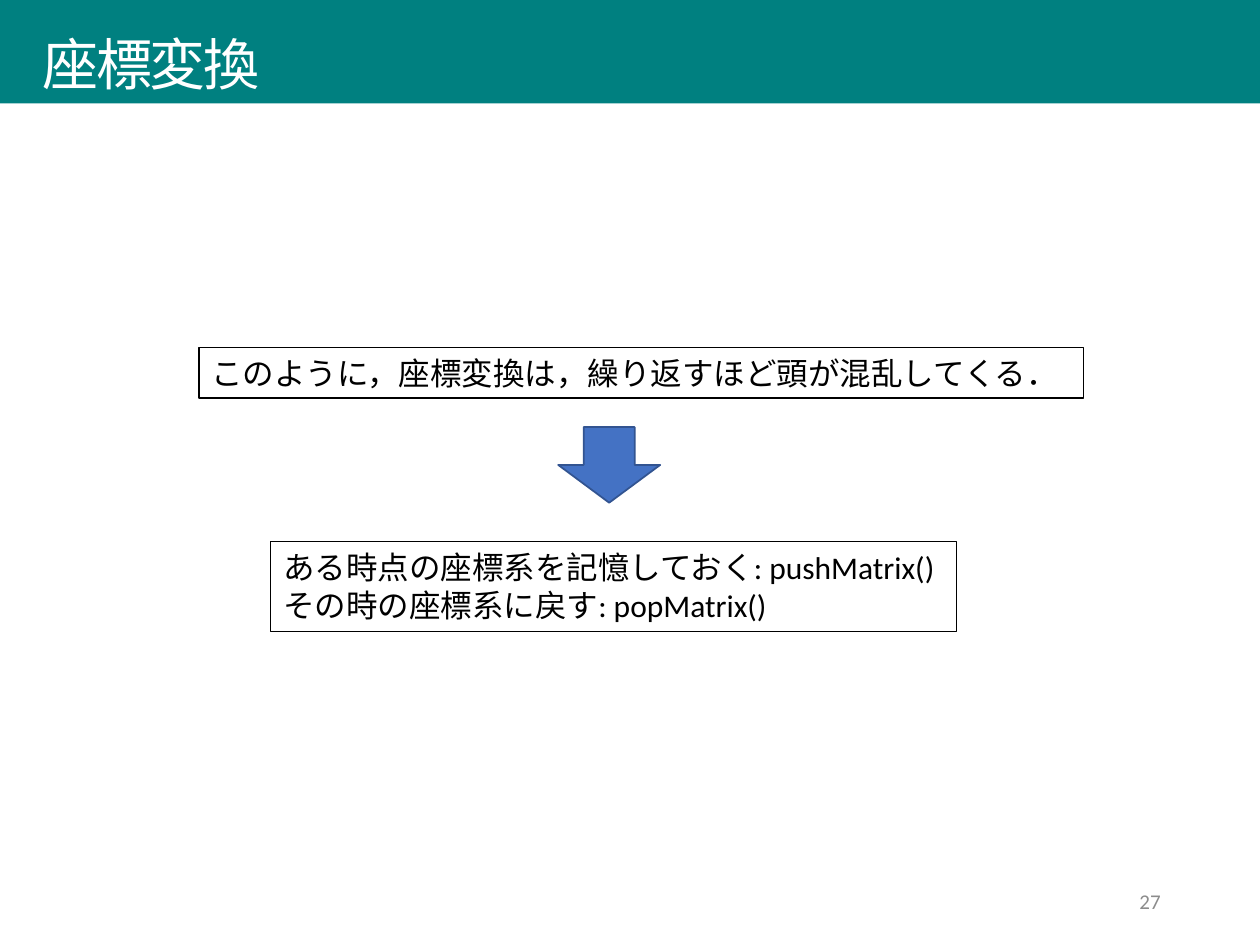
from dataclasses import dataclass

from lxml import etree
from pptx import Presentation
from pptx.dml.color import RGBColor
from pptx.enum.shapes import MSO_SHAPE
from pptx.enum.text import MSO_ANCHOR, MSO_AUTO_SIZE, PP_ALIGN
from pptx.oxml.ns import qn
from pptx.util import Inches, Pt

RECTANGLE = MSO_SHAPE.RECTANGLE
DOWN_ARROW = MSO_SHAPE.DOWN_ARROW
MIDDLE, BOTTOM = MSO_ANCHOR.MIDDLE, MSO_ANCHOR.BOTTOM
FIT_SHAPE = MSO_AUTO_SIZE.SHAPE_TO_FIT_TEXT
LEFT, RIGHT = PP_ALIGN.LEFT, PP_ALIGN.RIGHT


@dataclass(frozen=True)
class Theme:
    latin_font: str = "Calibri"
    japanese_font: str = "Noto Sans CJK JP"
    title_size: float = 32
    body_size: float = 18
    number_size: float = 12
    title_spacing: float = -1.5
    banner: RGBColor = RGBColor(0x00, 0x80, 0x80)
    title: RGBColor = RGBColor(0xFF, 0xFF, 0xFF)
    body: RGBColor = RGBColor(0x00, 0x00, 0x00)
    number: RGBColor = RGBColor(0x8C, 0x8C, 0x8C)
    arrow: RGBColor = RGBColor(0x44, 0x72, 0xC4)
    arrow_outline: RGBColor = RGBColor(0x32, 0x54, 0x91)


class SlideBuilder:
    def __init__(self, slide, theme):
        self.slide = slide
        self.theme = theme

    def format_text(self, text_frame, size, color, font, alignment=LEFT):
        for paragraph in text_frame.paragraphs:
            paragraph.alignment = alignment
            for run in paragraph.runs:
                run.font.size = Pt(size)
                run.font.name = font
                run.font.color.rgb = color
                east_asian = etree.SubElement(run.font._element, qn("a:ea"))
                east_asian.set("typeface", self.theme.japanese_font)

    def shape(self, kind, left, top, width, height, fill=None, line=None, line_width=0.75):
        shape = self.slide.shapes.add_shape(
            kind, Inches(left), Inches(top), Inches(width), Inches(height))
        shape.shadow.inherit = False
        if fill is None:
            shape.fill.background()
        else:
            shape.fill.solid()
            shape.fill.fore_color.rgb = fill
        if line is None:
            shape.line.fill.background()
        else:
            shape.line.color.rgb = line
            shape.line.width = Pt(line_width)
        return shape

    def title_banner(self, text, width, height):
        theme = self.theme
        text_frame = self.shape(RECTANGLE, 0, 0, width, height, theme.banner).text_frame
        text_frame.text = text
        text_frame.vertical_anchor = BOTTOM
        text_frame.margin_left = Inches(0.34)
        self.format_text(text_frame, theme.title_size, theme.title, theme.japanese_font)
        paragraph = text_frame.paragraphs[0]
        paragraph.line_spacing = 0.9
        for run in paragraph.runs:
            run.font._element.set("spc", str(int(theme.title_spacing * 100)))

    def framed_text(self, lines, left, top, width, height):
        theme = self.theme
        shape = self.shape(RECTANGLE, left, top, width, height, line=theme.body)
        text_frame = shape.text_frame
        text_frame.text = "\n".join(lines)
        text_frame.word_wrap = False
        text_frame.auto_size = FIT_SHAPE
        text_frame.vertical_anchor = MSO_ANCHOR.TOP
        self.format_text(text_frame, theme.body_size, theme.body, theme.latin_font)

    def down_arrow(self, left, top, width, height):
        self.shape(DOWN_ARROW, left, top, width, height,
                   self.theme.arrow, self.theme.arrow_outline, 1)

    def page_number(self, number, left, top, width, height):
        theme = self.theme
        text_frame = self.slide.shapes.add_textbox(
            Inches(left), Inches(top), Inches(width), Inches(height)).text_frame
        text_frame.text = str(number)
        text_frame.word_wrap = True
        text_frame.vertical_anchor = MIDDLE
        self.format_text(text_frame, theme.number_size, theme.number, theme.latin_font, RIGHT)


def main():
    presentation = Presentation()
    presentation.slide_width = Inches(10)
    presentation.slide_height = Inches(7.5)
    slide = presentation.slides.add_slide(presentation.slide_layouts[6])

    builder = SlideBuilder(slide, Theme())
    builder.page_number(27, 7.06, 6.95, 2.25, 0.4)
    builder.title_banner("座標変換", 10, 0.82)
    builder.framed_text(
        ["このように，座標変換は，繰り返すほど頭が混乱してくる．"], 1.58, 2.76, 7.02, 0.4)
    builder.down_arrow(4.43, 3.39, 0.81, 0.6)
    builder.framed_text(
        ["ある時点の座標系を記憶しておく: pushMatrix()", "その時の座標系に戻す: popMatrix()"],
        2.15, 4.3, 5.44, 0.71)

    presentation.save("out.pptx")


if __name__ == "__main__":
    main()
